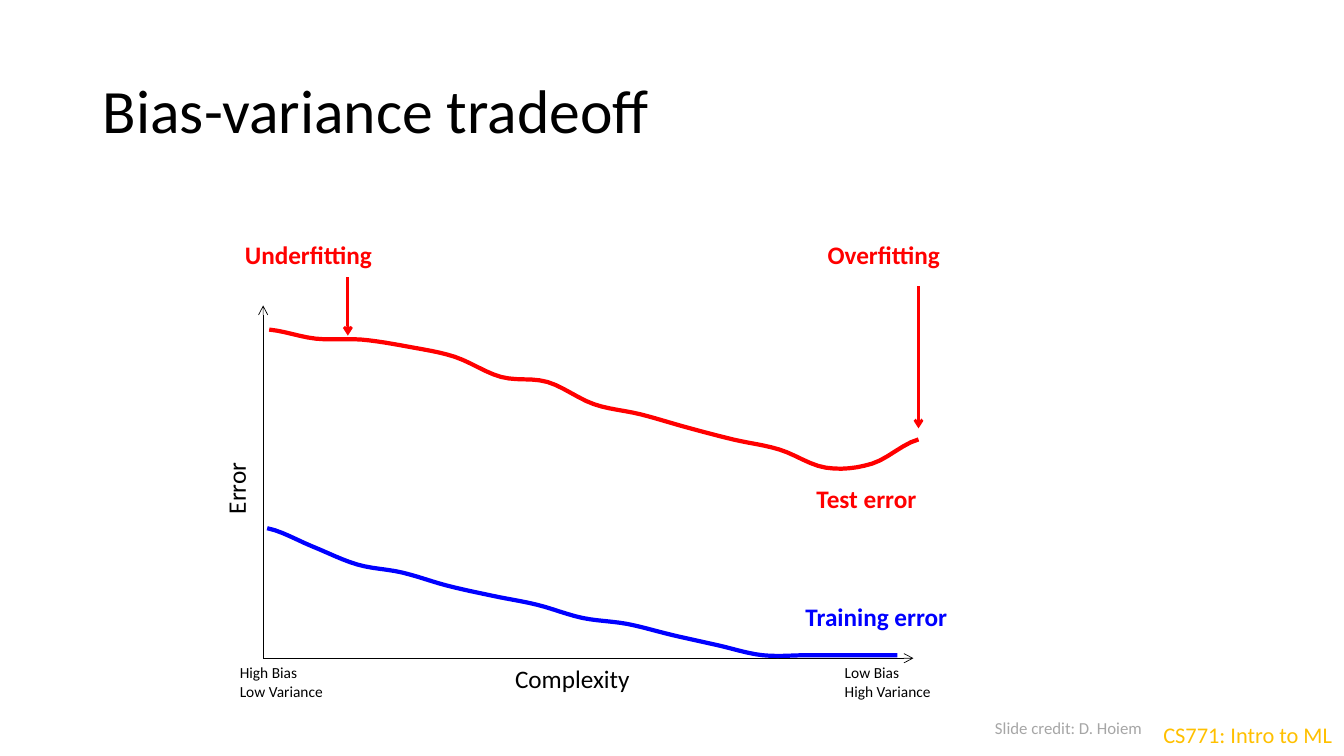
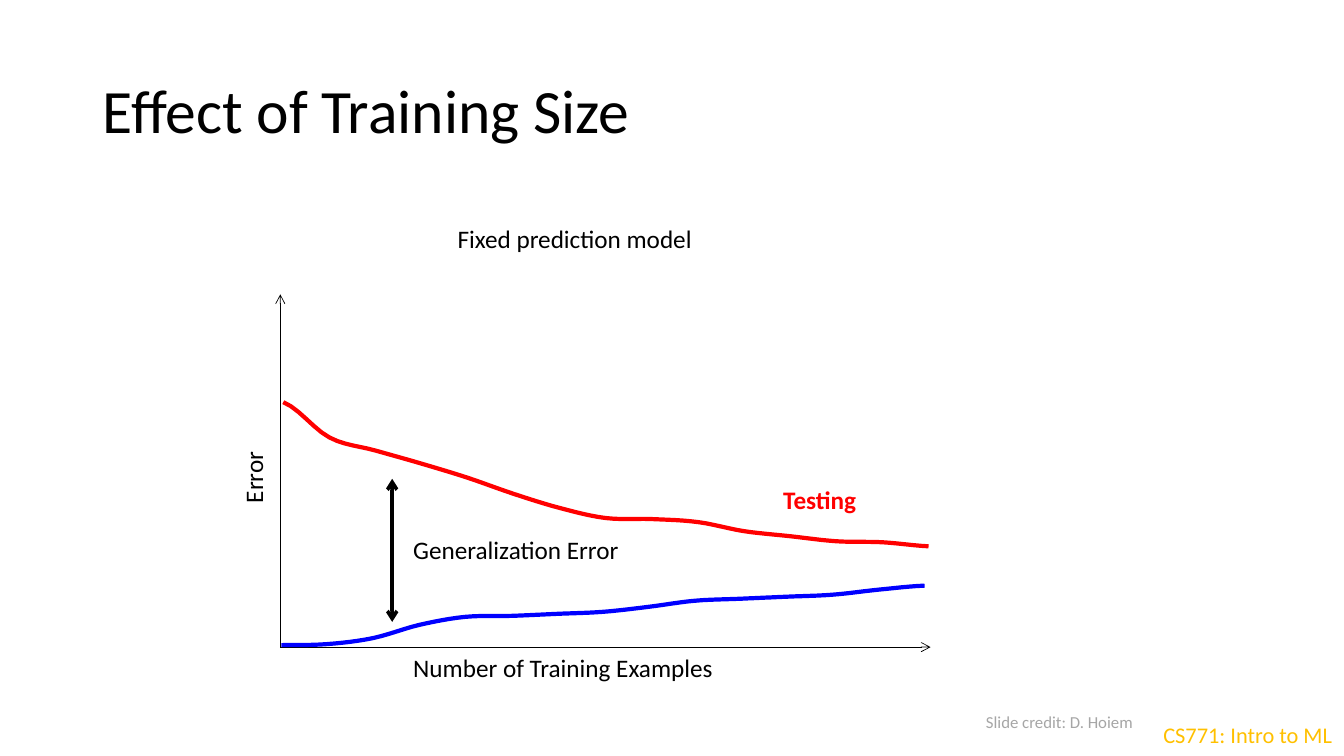
from pptx import Presentation
from pptx import util as u
from pptx.dml.color import RGBColor
from pptx.enum import shapes, text
from pptx.oxml import ns, xmlchemy

FONT = "Calibri"
HUES = {"ink": "000000", "test": "FF0000", "train": "0000FF",
        "foot": "FFC000", "pale": "A6A6A6"}
UNIT = u.Inches(1)  # side of one grid cell: places are columns and rows
COLS, ROWS = 13.33, 7.5
WIDE, HIGH = 6.45, 3.5  # lengths of the two axes
STEPS = 6  # short strokes between two knots of a curve

# Error in rows above the axis, at equal steps along it
FIT = {"train": (1.29, 1.11, 0.93, 0.85, 0.72, 0.62, 0.53, 0.4,
                 0.34, 0.23, 0.13, 0.03, 0.03, 0.03, 0.03),
       "test": (3.26, 3.17, 3.16, 3.09, 2.99, 2.79, 2.74, 2.52,
                2.42, 2.29, 2.17, 2.07, 1.89, 1.93, 2.17)}
SIZE = {"test": (2.43, 2.08, 1.95, 1.82, 1.68, 1.52, 1.38, 1.28,
                 1.27, 1.24, 1.15, 1.1, 1.05, 1.04, 1),
        "train": (0.02, 0.03, 0.09, 0.22, 0.3, 0.31, 0.33, 0.35,
                  0.4, 0.46, 0.48, 0.5, 0.52, 0.57, 0.61)}


def cells(*spans):
    """Turn columns and rows into lengths."""
    return [u.Emu(round(span * UNIT)) for span in spans]


def hue(name):
    """Look up a colour by name."""
    return RGBColor.from_string(HUES[name])


def style(frame, size, tint, bold=False):
    """Format all runs of a frame."""
    for para in frame.paragraphs:
        for run in para.runs:
            font = run.font
            font.name, font.size, font.bold = FONT, u.Pt(size), bold
            font.color.rgb = hue(tint)


def label(slide, words, left, top, width, tint="ink", size=18, bold=False,
          turn=0):
    """Add a label that does not wrap, as high as its lines need."""
    lines = words.count("\n") + 1
    height = lines * size / 60 + 0.1
    box = slide.shapes.add_textbox(*cells(left, top, width, height))
    box.rotation = turn
    frame = box.text_frame
    frame.text = words
    frame.word_wrap = False
    frame.auto_size = text.MSO_AUTO_SIZE.SHAPE_TO_FIT_TEXT
    style(frame, size, tint, bold)
    return box


def arrow(slide, start, end, tint="ink", width=0.5, both=False):
    """Draw a straight arrow, with one head or two."""
    line = slide.shapes.add_connector(
        shapes.MSO_CONNECTOR.STRAIGHT, *cells(*start, *end))
    line.line.color.rgb = hue(tint)
    line.line.width = u.Pt(width)
    props = line.element.spPr
    stroke = props.find(ns.qn("a:ln"))
    for tip in ("a:headEnd", "a:tailEnd") if both else ("a:tailEnd",):
        head = xmlchemy.OxmlElement(tip)
        head.set("type", "arrow")
        stroke.append(head)
    props.append(xmlchemy.OxmlElement("a:effectLst"))


def smooth(knots):
    """Round off equally spaced values with a Catmull-Rom spline."""
    ends = (knots[0], *knots, knots[-1])
    values = []
    for a, b, c, d in zip(ends, ends[1:], ends[2:], ends[3:]):
        for step in range(STEPS):
            t = step / STEPS
            values.append(b + t * (c - a) / 2
                          + t ** 2 * (2 * a - 5 * b + 4 * c - d) / 2
                          + t ** 3 * (3 * b - a - 3 * c + d) / 2)
    return values + [knots[-1]]


def curve(slide, knots, left, right, base, tint):
    """Draw a smooth line from left to right, above the base."""
    levels = smooth(knots)
    gap = (right - left) / (len(levels) - 1)
    first, *rest = [cells(left + n * gap, base - level)
                    for n, level in enumerate(levels)]
    pen = slide.shapes.build_freeform(*first)
    pen.add_line_segments(rest, close=False)
    shape = pen.convert_to_shape()
    shape.shadow.inherit = False
    shape.fill.background()
    shape.line.color.rgb = hue(tint)
    shape.line.width = u.Pt(3)


def axes(slide, left, base, name, start, width):
    """Draw both axes from their origin, with their names."""
    for end in ((left, base - HIGH), (left + WIDE, base)):
        arrow(slide, (left, base), end)
    label(slide, name, start, base, width)
    label(slide, "Error", left - 0.63, base - 1.89, 0.72, turn=270)


def page(deck, layout, title, left, top):
    """Add a slide with its title and credit."""
    slide = deck.slides.add_slide(layout)
    head = slide.shapes.title
    head.left, head.top, head.width, head.height = cells(0.92, 0.4, 11.5, 1.45)
    frame = head.text_frame
    frame.text = title
    frame.vertical_anchor = text.MSO_ANCHOR.MIDDLE
    para = frame.paragraphs[0]
    para.alignment = text.PP_ALIGN.LEFT
    para.line_spacing = 0.9
    style(frame, 44, "ink")
    label(slide, "Slide credit: D. Hoiem", left, top, 1.68, "pale", 12)
    return slide


def footer(slide, layout):
    """Put the course name on the layout that all slides share."""
    box = label(slide, "CS771: Intro to ML", 11.44, 7.1, 1.9, "foot", 16)
    layout.shapes.element.append(box.element)


def tradeoff(slide):
    """Fill the slide on bias and variance."""
    left, base = 2.61, 6.53
    axes(slide, left, base, "Complexity", 5.01, 1.35)
    for tint, start, end in (("train", 2.65, 8.9), ("test", 2.67, 9.11)):
        curve(slide, FIT[tint], start, end, base, tint)
    for words, start, top, width, tint in (
            ("Training error", 7.89, 5.92, 1.62, "train"),
            ("Test error", 8, 4.75, 1.2, "test"),
            ("Underfitting", 2.33, 2.33, 1.48, "test"),
            ("Overfitting", 8.11, 2.33, 1.33, "test")):
        label(slide, words, start, top, width, tint, bold=True)
    for spot, top, tip in ((3.45, 2.75, 3.33), (9.11, 2.84, 4.25)):
        arrow(slide, (spot, top), (spot, tip), "test", 2)
    for words, start, width in (("High Bias\nLow Variance", 2.28, 1.04),
                                ("Low Bias\nHigh Variance", 8.28, 1.07)):
        label(slide, words, start, base, width, size=11)


def effect(slide):
    """Fill the slide on training size."""
    left, base = 2.78, 6.42
    axes(slide, left, base, "Number of Training Examples", 4, 3.21)
    for tint, start, end in (("test", 2.81, 9.21), ("train", 2.79, 9.17)):
        curve(slide, SIZE[tint], start, end, base, tint)
    arrow(slide, (3.89, 6.17), (3.89, 4.75), width=2.5, both=True)
    label(slide, "Testing", 7.67, 4.76, 0.93, "test", bold=True)
    label(slide, "Generalization Error", 4, 5.25, 2.26)
    label(slide, "Fixed prediction model", 4.44, 2.17, 2.56)


def main():
    """Build and save the deck."""
    deck = Presentation()
    deck.slide_width, deck.slide_height = cells(COLS, ROWS)
    layout = deck.slide_layouts.get_by_name("Title Only")
    first = page(deck, layout, "Bias-variance tradeoff", 9.77, 7.07)
    footer(first, layout)
    tradeoff(first)
    effect(page(deck, layout, "Effect of Training Size", 9.68, 7.01))
    deck.save("out.pptx")


main()
